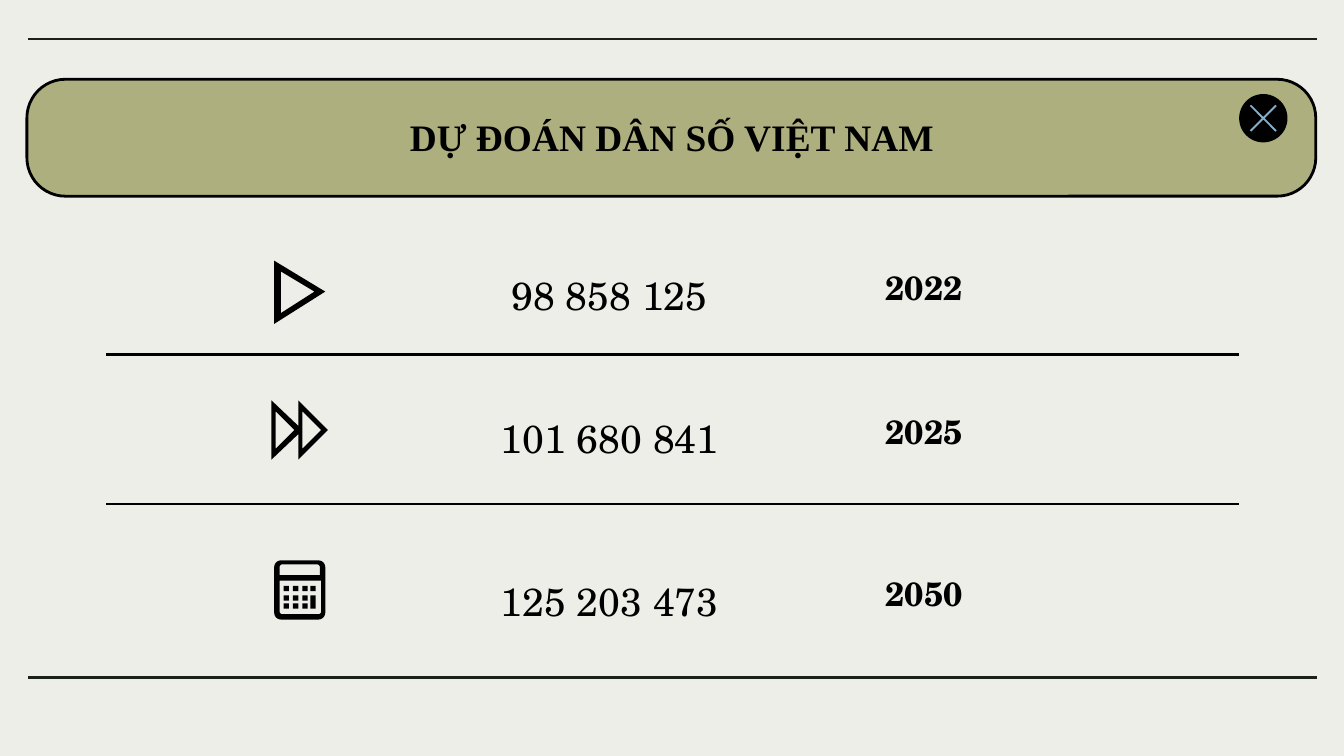
"""Build a slide with Viet Nam's population forecast for three years."""
from dataclasses import dataclass
from itertools import product
from math import cos, pi, sin

from lxml.etree import SubElement
from pptx import Presentation
from pptx.dml.color import RGBColor
from pptx.enum.shapes import MSO_CONNECTOR, MSO_SHAPE
from pptx.enum.text import MSO_ANCHOR, MSO_AUTO_SIZE, PP_ALIGN
from pptx.oxml.ns import qn
from pptx.shapes.base import BaseShape
from pptx.slide import Slide
from pptx.text.text import TextFrame
from pptx.util import Inches, Pt

BACKGROUND = RGBColor(0xEE, 0xEE, 0xE9)
OLIVE = RGBColor(0xAD, 0xAF, 0x7E)
BLACK = RGBColor(0x00, 0x00, 0x00)
FRAME = RGBColor(0x1B, 0x21, 0x19)
CROSS = RGBColor(0x88, 0xAD, 0xC8)

Contour = list[tuple[float, float]]
Box = tuple[float, float, float, float]


@dataclass(frozen=True)
class TextStyle:
    font: dict
    paragraph: dict
    anchor: MSO_ANCHOR


@dataclass(frozen=True)
class Forecast:
    year: str
    population: str
    top: float


@dataclass(frozen=True)
class Rule:
    left: float
    right: float
    y: float
    color: RGBColor


TITLE_STYLE = TextStyle(
    {"name": "Times New Roman", "size": Pt(20), "bold": True},
    {"alignment": PP_ALIGN.CENTER, "line_spacing": 0.7, "space_before": Pt(0)},
    MSO_ANCHOR.MIDDLE,
)
YEAR_STYLE = TextStyle(
    {"name": "TeX Gyre Schola", "size": Pt(18), "bold": True},
    {"alignment": PP_ALIGN.LEFT, "line_spacing": 1.15, "space_after": Pt(16)},
    MSO_ANCHOR.TOP,
)
POPULATION_STYLE = TextStyle(
    {"name": "TeX Gyre Schola", "size": Pt(21), "bold": False},
    {"alignment": PP_ALIGN.CENTER, "space_after": Pt(16)},
    MSO_ANCHOR.MIDDLE,
)

FORECASTS = [
    Forecast("2022", "98 858 125", 1.84),
    Forecast("2025", "101 680 841", 2.91),
    Forecast("2050", "125 203 473", 4.12),
]
RULES = [
    Rule(0.21, 9.8, 0.29, FRAME),
    Rule(0.21, 9.8, 5.04, FRAME),
    Rule(0.79, 9.22, 2.64, BLACK),
    Rule(0.79, 9.22, 3.75, BLACK),
]
PLAY = [
    [(2.09, 2.02), (2.34, 2.17), (2.09, 2.33)],
    [(2.04, 1.94), (2.04, 2.41), (2.42, 2.17)],
]
FAST_FORWARD = [
    [(2.05, 3.06), (2.19, 3.2), (2.05, 3.34)],
    [(2.25, 3.06), (2.39, 3.2), (2.25, 3.34)],
    [(2.22, 2.98), (2.22, 3.17), (2.02, 2.98), (2.02, 3.42),
     (2.22, 3.23), (2.22, 3.42), (2.44, 3.2)],
]
CLOSE_CROSS = [[
    (9.31, 0.78), (9.3, 0.79), (9.39, 0.88), (9.3, 0.97), (9.31, 0.98), (9.4, 0.89),
    (9.49, 0.98), (9.5, 0.97), (9.41, 0.88), (9.5, 0.79), (9.49, 0.78), (9.4, 0.87),
]]
KEY_COLUMNS = (2.11, 2.18, 2.25)
KEY_ROWS = (4.36, 4.43, 4.49)
LAST_COLUMN = 2.31
KEY_SIZE = 0.04


def rounded_box(left: float, top: float, right: float, bottom: float,
                upper: float, lower: float) -> Contour:
    """Return a box outline with its own radius for upper and lower corners."""
    corners = [
        (right - lower, bottom - lower, lower, 0),
        (left + lower, bottom - lower, lower, 1),
        (left + upper, top + upper, upper, 2),
        (right - upper, top + upper, upper, 3),
    ]
    return [
        (x + radius * cos((quarter + step / 6) * pi / 2),
         y + radius * sin((quarter + step / 6) * pi / 2))
        for x, y, radius, quarter in corners
        for step in range(7)
    ]


def paint(shape: BaseShape, fill: RGBColor) -> None:
    """Fill a shape and take away its outline and shadow."""
    shape.shadow.inherit = False
    shape.fill.solid()
    shape.fill.fore_color.rgb = fill
    shape.line.fill.background()


def add_preset(slide: Slide, preset: MSO_SHAPE, box: Box, fill: RGBColor) -> BaseShape:
    """Draw a filled preset shape."""
    shape = slide.shapes.add_shape(preset, *map(Inches, box))
    paint(shape, fill)
    return shape


def add_outline(slide: Slide, contours: list[Contour], fill: RGBColor) -> None:
    """Draw a filled freeform made of closed contours."""
    scaled = [[(Inches(x), Inches(y)) for x, y in contour] for contour in contours]
    builder = slide.shapes.build_freeform(*scaled[0][0])
    for index, (start, *rest) in enumerate(scaled):
        if index:
            builder.move_to(*start)
        builder.add_line_segments(rest, close=True)
    paint(builder.convert_to_shape(), fill)


def add_rule(slide: Slide, rule: Rule) -> None:
    """Draw a horizontal rule."""
    ends = map(Inches, (rule.left, rule.y, rule.right, rule.y))
    connector = slide.shapes.add_connector(MSO_CONNECTOR.STRAIGHT, *ends)
    connector.line.color.rgb = rule.color
    connector.line.width = Pt(1.5)
    SubElement(connector.element.spPr, qn("a:effectLst"))


def write(frame: TextFrame, text: str, style: TextStyle) -> None:
    """Put formatted text in a frame."""
    frame.text = text
    paragraph = frame.paragraphs[0]
    font = paragraph.runs[0].font
    margins = dict.fromkeys(
        ("margin_left", "margin_top", "margin_right", "margin_bottom"), Inches(0.1))
    frame_format = {
        "word_wrap": True, "auto_size": MSO_AUTO_SIZE.NONE,
        "vertical_anchor": style.anchor, **margins,
    }
    for target, values in (
        (frame, frame_format), (paragraph, style.paragraph),
        (font, style.font), (font.color, {"rgb": BLACK}),
    ):
        for name, value in values.items():
            setattr(target, name, value)


def add_text(slide: Slide, box: Box, text: str, style: TextStyle) -> None:
    """Add a formatted text box."""
    write(slide.shapes.add_textbox(*map(Inches, box)).text_frame, text, style)


def add_banner(slide: Slide) -> None:
    """Draw the title banner with its close button."""
    banner = add_preset(slide, MSO_SHAPE.ROUNDED_RECTANGLE, (0.2, 0.59, 9.59, 0.87), OLIVE)
    banner.adjustments[0] = 0.33
    banner.line.color.rgb = BLACK
    banner.line.width = Pt(1.5)
    title = slide.shapes.title
    for name, value in zip(("left", "top", "width", "height"), (0.78, 0.75, 8.44, 0.62)):
        setattr(title, name, Inches(value))
    write(title.text_frame, "DỰ ĐOÁN DÂN SỐ VIỆT NAM", TITLE_STYLE)
    banner.element.addnext(title.element)
    add_preset(slide, MSO_SHAPE.OVAL, (9.22, 0.7, 0.36, 0.36), BLACK)
    add_outline(slide, CLOSE_CROSS, CROSS)


def add_calculator(slide: Slide) -> None:
    """Draw the calculator icon."""
    add_outline(slide, [
        rounded_box(2.04, 4.17, 2.42, 4.61, 0.05, 0.05),
        rounded_box(2.08, 4.2, 2.38, 4.28, 0.02, 0),
        rounded_box(2.08, 4.32, 2.39, 4.57, 0, 0.02),
    ], BLACK)
    keys = [(x, y, KEY_SIZE, KEY_SIZE) for x, y in product(KEY_COLUMNS, KEY_ROWS)]
    keys += [(LAST_COLUMN, KEY_ROWS[0], KEY_SIZE, KEY_SIZE),
             (LAST_COLUMN, KEY_ROWS[1], KEY_SIZE, 0.1)]
    for key in keys:
        add_preset(slide, MSO_SHAPE.RECTANGLE, key, BLACK)


def main() -> None:
    """Build and save the slide."""
    deck = Presentation()
    deck.slide_width, deck.slide_height = Inches(10), Inches(10 * 9 / 16)
    slide = deck.slides.add_slide(deck.slide_layouts.get_by_name("Title Only"))
    slide.background.fill.solid()
    slide.background.fill.fore_color.rgb = BACKGROUND
    add_banner(slide)
    for rule in RULES:
        add_rule(slide, rule)
    for icon in (PLAY, FAST_FORWARD):
        add_outline(slide, icon, BLACK)
    add_calculator(slide)
    for forecast in FORECASTS:
        add_text(slide, (3.2, forecast.top + 0.13, 2.67, 0.44),
                 forecast.population, POPULATION_STYLE)
        add_text(slide, (6.49, forecast.top, 2.42, 0.57), forecast.year, YEAR_STYLE)
    deck.save("out.pptx")


if __name__ == "__main__":
    main()
